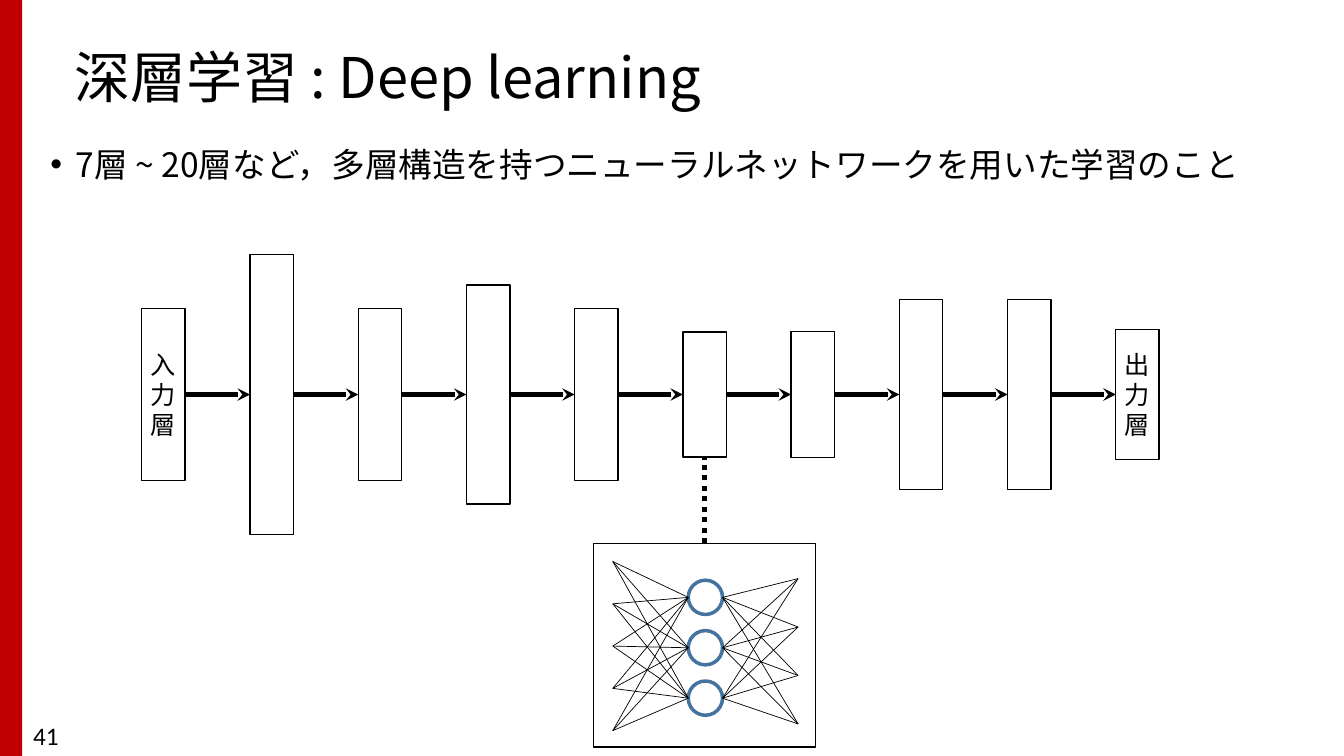
import itertools

import lxml.etree
import pptx
import pptx.dml.color
import pptx.enum.dml
import pptx.enum.shapes
import pptx.enum.text
import pptx.oxml.ns
import pptx.util

Pt = pptx.util.Pt
qn = pptx.oxml.ns.qn
SHAPES = pptx.enum.shapes.MSO_SHAPE
ALIGN = pptx.enum.text.PP_ALIGN
ANCHOR = pptx.enum.text.MSO_ANCHOR
BLACK, RED, BLUE = "000000", "C00000", "43739E"
CJK_FONT = "Noto Sans CJK JP"


def color(value):
    return pptx.dml.color.RGBColor.from_string(value)


def write_text(shape, text, size=18, font="Calibri", align=ALIGN.LEFT,
               anchor=ANCHOR.TOP, spacing=1.0, before=0, margins=(7.2, 3.6)):
    frame = shape.text_frame
    frame.word_wrap = True
    frame.auto_size = pptx.enum.text.MSO_AUTO_SIZE.NONE
    frame.vertical_anchor = anchor
    frame.margin_left = frame.margin_right = Pt(margins[0])
    frame.margin_top = frame.margin_bottom = Pt(margins[1])
    paragraph = frame.paragraphs[0]
    paragraph.alignment = align
    paragraph.line_spacing = spacing
    paragraph.space_before = Pt(before)
    run = paragraph.add_run()
    run.text = text
    run.font.name = font
    run.font.size = Pt(size)
    run.font.color.rgb = color(BLACK)
    east_asian = lxml.etree.SubElement(run._r.get_or_add_rPr(), qn("a:ea"))
    east_asian.set("typeface", CJK_FONT)
    return paragraph


def place(shape, box):
    shape.left, shape.top, shape.width, shape.height = map(Pt, box)


def add_outline(slide, box, kind=SHAPES.RECTANGLE, line=BLACK, width=1):
    shape = slide.shapes.add_shape(kind, *map(Pt, box))
    shape.shadow.inherit = False
    shape.fill.background()
    shape.line.color.rgb = color(line)
    shape.line.width = Pt(width)
    return shape


def add_line(slide, start, end, width, dash=None, arrow=False):
    connector = slide.shapes.add_connector(
        pptx.enum.shapes.MSO_CONNECTOR.STRAIGHT, *map(Pt, start + end))
    connector.line.color.rgb = color(BLACK)
    connector.line.width = Pt(width)
    if dash:
        connector.line.dash_style = dash
    properties = connector._element.spPr
    if arrow:
        tail = lxml.etree.SubElement(properties.find(qn("a:ln")), qn("a:tailEnd"))
        tail.set("type", "stealth")
    lxml.etree.SubElement(properties, qn("a:effectLst"))


def add_side_bar(slide, box):
    bar = slide.shapes.add_shape(SHAPES.RECTANGLE, *map(Pt, box))
    bar.shadow.inherit = False
    bar.fill.solid()
    bar.fill.fore_color.rgb = color(RED)
    bar.line.fill.background()


def fill_title(slide, box):
    title = slide.shapes.title
    place(title, box)
    write_text(title, "深層学習 : Deep learning", size=40, font=CJK_FONT,
               anchor=ANCHOR.MIDDLE, spacing=0.9)


def fill_body(slide, box):
    body = slide.placeholders[1]
    place(body, box)
    paragraph = write_text(
        body, "7層 ~ 20層など，多層構造を持つニューラルネットワークを用いた学習のこと",
        size=24, font=CJK_FONT, spacing=0.9, before=10)
    properties = paragraph._p.get_or_add_pPr()
    properties.set("marL", str(Pt(18)))
    properties.set("indent", str(-Pt(18)))
    lxml.etree.SubElement(properties, qn("a:buFont")).set("typeface", "Arial")
    lxml.etree.SubElement(properties, qn("a:buChar")).set("char", "•")


def add_layers(slide, box):
    left, top, width, height = box
    layer_width = 31
    layer_heights = [122.5, 200, 122.5, 156.5, 122.5, 89.5, 90, 136, 136, 93]
    labels = {0: "入力層", len(layer_heights) - 1: "出力層"}
    pitch = (width - layer_width) / (len(layer_heights) - 1)
    middle = top + height / 2
    for index, layer_height in enumerate(layer_heights):
        x = left + index * pitch
        layer = add_outline(
            slide, (x, middle - layer_height / 2, layer_width, layer_height))
        if index in labels:
            write_text(layer, labels[index], align=ALIGN.CENTER,
                       anchor=ANCHOR.MIDDLE, margins=(0, 0))
        if index:
            add_line(slide, (x - pitch + layer_width, middle), (x, middle),
                     3, arrow=True)


def add_neuron_detail(slide, box):
    left, top, width, height = box
    add_outline(slide, box)
    diameter = 24.5
    center = left + width / 2 + 0.6
    neurons = [top + 38.6 + 36 * index for index in range(3)]
    inputs = [top + 13 + 30.2 * index for index in range(5)]
    outputs = [top + 25.2 + 34.6 * index for index in range(4)]
    for y in neurons:
        add_outline(slide, (center - diameter / 2, y - diameter / 2, diameter, diameter),
                    SHAPES.OVAL, BLUE, 2.5)
    for side, ends in ((-1, inputs), (1, outputs)):
        near, far = center + side * diameter / 2, center + side * 66.2
        for end, neuron in itertools.product(ends, neurons):
            add_line(slide, (far, end), (near, neuron), 0.5)
    stem = left + width / 2
    add_line(slide, (stem, top), (stem, top - 62), 3.75,
             dash=pptx.enum.dml.MSO_LINE.ROUND_DOT)


def add_page_number(slide, box):
    write_text(slide.shapes.add_textbox(*map(Pt, box)), "41")


def main():
    presentation = pptx.Presentation()
    presentation.slide_width, presentation.slide_height = Pt(960), Pt(540)
    slide = presentation.slides.add_slide(presentation.slide_layouts[1])
    add_side_bar(slide, (0, 0, 15.8, 543.6))
    fill_title(slide, (46, 28.8, 874, 57.6))
    fill_body(slide, (28.8, 102.2, 931, 106.6))
    add_layers(slide, (101.3, 181.8, 726.7, 200))
    add_neuron_detail(slide, (424.1, 388.1, 158.4, 145.4))
    add_page_number(slide, (16.6, 511.2, 216, 28.8))
    presentation.save("out.pptx")


if __name__ == "__main__":
    main()
